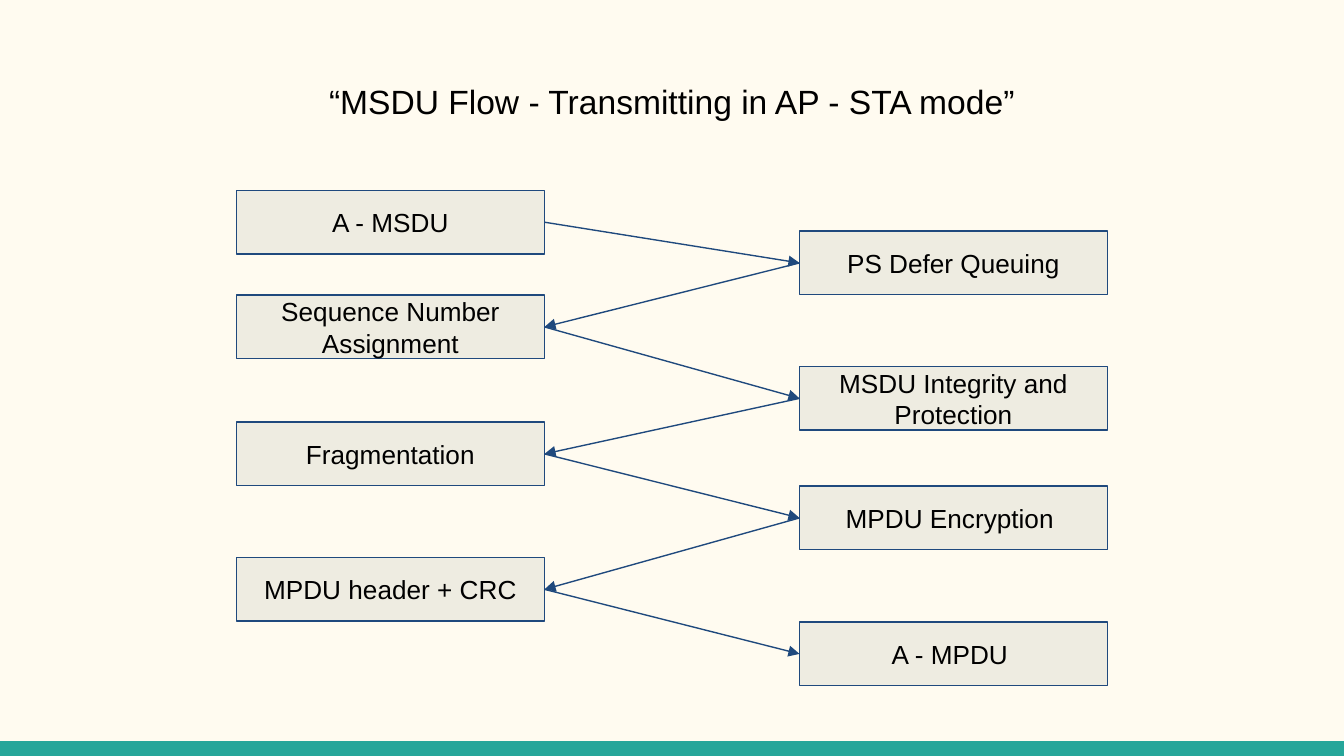
from lxml import etree
from pptx import Presentation
from pptx.dml.color import RGBColor
from pptx.enum.shapes import MSO_CONNECTOR, MSO_SHAPE
from pptx.enum.text import MSO_ANCHOR, PP_ALIGN
from pptx.oxml.ns import qn
from pptx.util import Cm, Pt

RECT = MSO_SHAPE.RECTANGLE
STRAIGHT = MSO_CONNECTOR.STRAIGHT
MIDDLE = MSO_ANCHOR.MIDDLE
CENTER = PP_ALIGN.CENTER
LEFT_SITE, RIGHT_SITE = 1, 3

WIDE, HIGH = 25.4, 14.29
INK, NAVY, SAND, CREAM, TEAL = "000000", "1F497D", "EEECE1", "FFFBF0", "26A69A"
STEP_W, STEP_H = 5.82, 1.2
STEPS = [
    ("A - MSDU", 0),
    ("PS Defer Queuing", 0.77),
    ("Sequence Number Assignment", 1.98),
    ("MSDU Integrity and Protection", 3.33),
    ("Fragmentation", 4.38),
    ("MPDU Encryption ", 5.59),
    ("MPDU header + CRC", 6.94),
    ("A - MPDU ", 8.16),
]


def paint(color, code):
    """Set a fill, line or font colour from a hex string."""
    color.rgb = RGBColor.from_string(code)


def write(shape, text, size, inset):
    """Write centred text into a shape."""
    frame = shape.text_frame
    frame.word_wrap = True
    frame.vertical_anchor = MIDDLE
    frame.margin_left = frame.margin_right = Cm(inset)
    frame.margin_top = frame.margin_bottom = Cm(inset)
    para = frame.paragraphs[0]
    para.alignment = CENTER
    run = para.add_run()
    run.text = text
    run.font.name = "Arial"
    run.font.size = Pt(size)
    paint(run.font.color, INK)


def add_rect(slide, box, fill):
    """Add a flat rectangle without an outline."""
    shape = slide.shapes.add_shape(RECT, *map(Cm, box))
    shape.shadow.inherit = False
    shape.fill.solid()
    paint(shape.fill.fore_color, fill)
    shape.line.fill.background()
    return shape


def add_step(slide, box, text):
    """Add one outlined step of the flow."""
    shape = add_rect(slide, box, SAND)
    paint(shape.line.color, NAVY)
    shape.line.width = Pt(0.75)
    write(shape, text, 14, 0.25)
    return shape


def add_arrow(slide, start, end, right):
    """Join the facing sides of two steps with an arrow."""
    arrow = slide.shapes.add_connector(STRAIGHT, 0, 0, 0, 0)
    arrow.begin_connect(start, RIGHT_SITE if right else LEFT_SITE)
    arrow.end_connect(end, LEFT_SITE if right else RIGHT_SITE)
    paint(arrow.line.color, NAVY)
    arrow.line.width = Pt(0.75)
    etree.SubElement(arrow.line._get_or_add_ln(), qn("a:tailEnd"), type="triangle")
    etree.SubElement(arrow._element.spPr, qn("a:effectLst"))


def add_title(slide, box, text):
    """Add the slide title."""
    write(slide.shapes.add_textbox(*map(Cm, box)), text, 18, 0)


def add_flow(slide, box):
    """Zigzag the steps between the two sides of the box."""
    left, top, width, _ = box
    sides = left, left + width - STEP_W
    steps = [
        add_step(slide, (sides[i % 2], top + drop, STEP_W, STEP_H), text)
        for i, (text, drop) in enumerate(STEPS)
    ]
    for i, (start, end) in enumerate(zip(steps, steps[1:])):
        add_arrow(slide, start, end, i % 2 == 0)


def main():
    """Build the slide and save it."""
    deck = Presentation()
    deck.slide_width, deck.slide_height = Cm(WIDE), Cm(HIGH)
    slide = deck.slides.add_slide(deck.slide_layouts[6])
    back = slide.background.fill
    back.solid()
    paint(back.fore_color, CREAM)
    add_rect(slide, (0, HIGH - 0.28, WIDE, 0.28), TEAL)
    add_title(slide, (0.86, 1.07, 23.68, 1.7),
              "“MSDU Flow - Transmitting in AP - STA mode”")
    add_flow(slide, (4.47, 3.6, 16.46, 9.36))
    deck.save("out.pptx")


if __name__ == "__main__":
    main()
